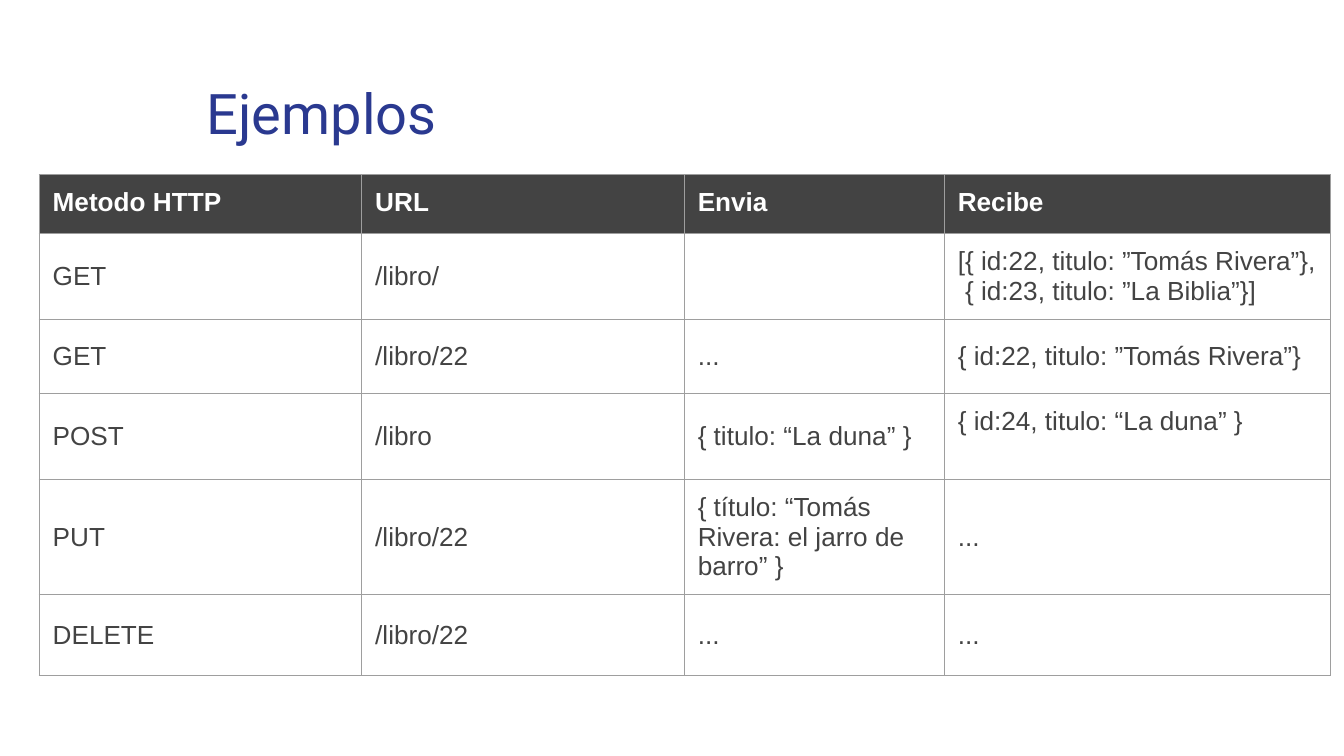
from dataclasses import dataclass

from lxml.etree import SubElement
from pptx import Presentation
from pptx.dml.color import RGBColor
from pptx.enum.text import MSO_ANCHOR as Anchor
from pptx.oxml.ns import qn
from pptx.util import Pt


@dataclass(frozen=True)
class Theme:
    title_font: str = "Roboto"
    body_font: str = "Arial"
    title_size: int = 30
    body_size: int = 14
    title_color: str = "2A3990"
    dark: str = "434343"
    light: str = "FFFFFF"
    border: str = "9E9E9E"
    border_width: float = 0.75
    inset: float = 7.2


THEME = Theme()
HEADINGS = ("Metodo HTTP", "URL", "Envia", "Recibe")
REQUESTS = (
    ("GET", "/libro/", "",
     "[{ id:22, titulo: ”Tomás Rivera”},\v { id:23, titulo: ”La Biblia”}]"),
    ("GET", "/libro/22", "...", "{ id:22, titulo: ”Tomás Rivera”}"),
    ("POST", "/libro", "{ titulo: “La duna” }", "{ id:24, titulo: “La duna” }"),
    ("PUT", "/libro/22", "{ título: “Tomás Rivera: el jarro de barro” }", "..."),
    ("DELETE", "/libro/22", "...", "..."),
)
COLUMN_WIDTHS = (172.8, 172.8, 139.3, 206.8)
ROW_HEIGHTS = (31.4, 46.2, 39.6, 46.2, 61.5, 43.5)
POST_ROW, RECEIVED_COLUMN = 3, 3


def set_insets(holder):
    """Give a cell or text frame the same margin on all sides."""
    holder.margin_left = holder.margin_right = Pt(THEME.inset)
    holder.margin_top = holder.margin_bottom = Pt(THEME.inset)


def format_text(paragraph, font_name, size, color, bold=False):
    for run in paragraph.runs:
        run.font.name = font_name
        run.font.size = Pt(size)
        run.font.bold = bold
        run.font.color.rgb = RGBColor.from_string(color)


def add_borders(cell):
    properties = cell._tc.get_or_add_tcPr()
    for side in ("a:lnL", "a:lnR", "a:lnT", "a:lnB"):
        line = SubElement(properties, qn(side), w=str(Pt(THEME.border_width)))
        fill = SubElement(line, qn("a:solidFill"))
        SubElement(fill, qn("a:srgbClr"), val=THEME.border)


def fill_cell(cell, text, is_heading):
    cell.text = text
    set_insets(cell)
    add_borders(cell)
    if is_heading:
        cell.fill.solid()
        cell.fill.fore_color.rgb = RGBColor.from_string(THEME.dark)
    else:
        cell.fill.background()
        cell.vertical_anchor = Anchor.MIDDLE
    color = THEME.light if is_heading else THEME.dark
    format_text(cell.text_frame.paragraphs[0], THEME.body_font,
                THEME.body_size, color, is_heading)


def add_title(slide, left, top, width, height):
    title = slide.shapes.add_textbox(Pt(left), Pt(top), Pt(width), Pt(height))
    frame = title.text_frame
    frame.word_wrap = True
    set_insets(frame)
    frame.text = "Ejemplos"
    format_text(frame.paragraphs[0], THEME.title_font, THEME.title_size,
                THEME.title_color)


def add_request_table(slide, left, top):
    rows = (HEADINGS, *REQUESTS)
    requests = slide.shapes.add_table(
        len(rows), len(HEADINGS), Pt(left), Pt(top),
        Pt(sum(COLUMN_WIDTHS)), Pt(sum(ROW_HEIGHTS))).table
    requests.horz_banding = False
    for column, width in zip(requests.columns, COLUMN_WIDTHS):
        column.width = Pt(width)
    for row, height in zip(requests.rows, ROW_HEIGHTS):
        row.height = Pt(height)
    for r, texts in enumerate(rows):
        for c, text in enumerate(texts):
            fill_cell(requests.cell(r, c), text, is_heading=r == 0)
    requests.cell(POST_ROW, RECEIVED_COLUMN).vertical_anchor = Anchor.TOP


def main():
    deck = Presentation()
    deck.slide_width, deck.slide_height = Pt(720), Pt(405)
    slide = deck.slides.add_slide(deck.slide_layouts[6])
    add_request_table(slide, 21, 93.6)
    add_title(slide, 103.7, 35, 591.8, 45.4)
    deck.save("out.pptx")


if __name__ == "__main__":
    main()
